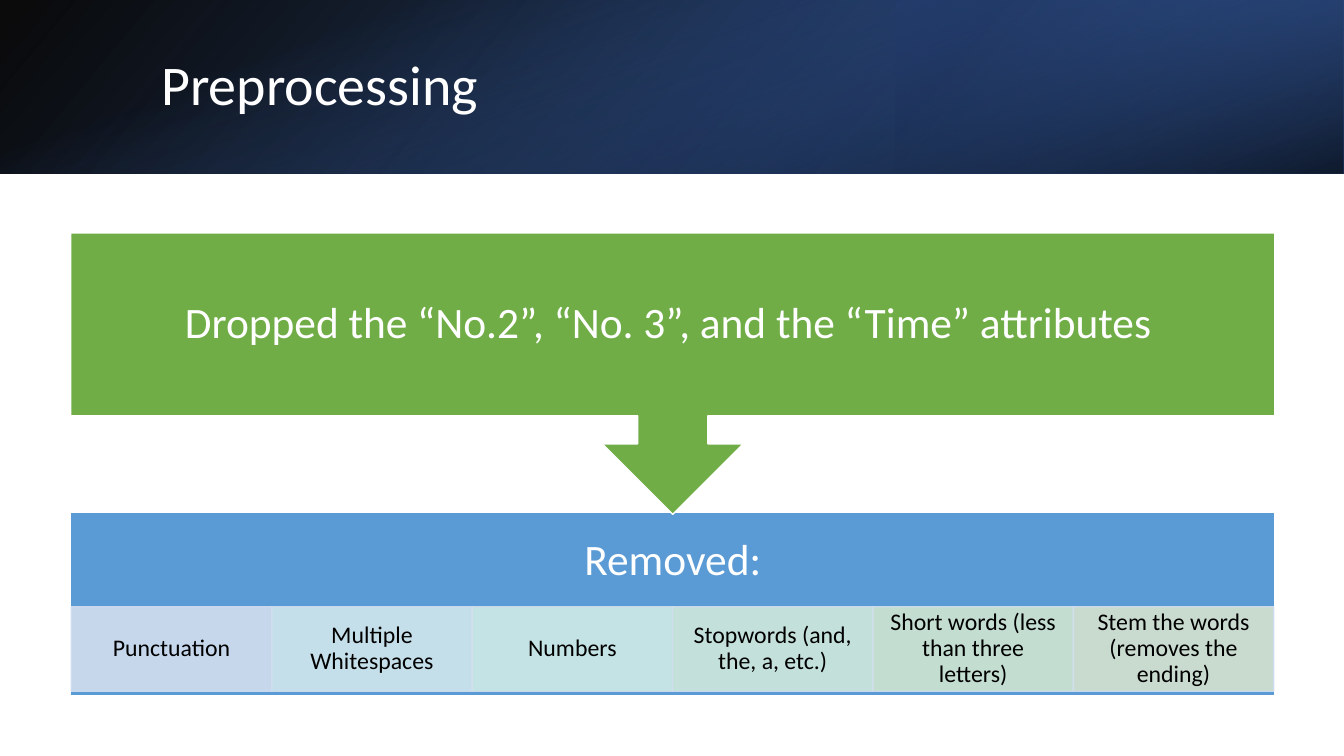
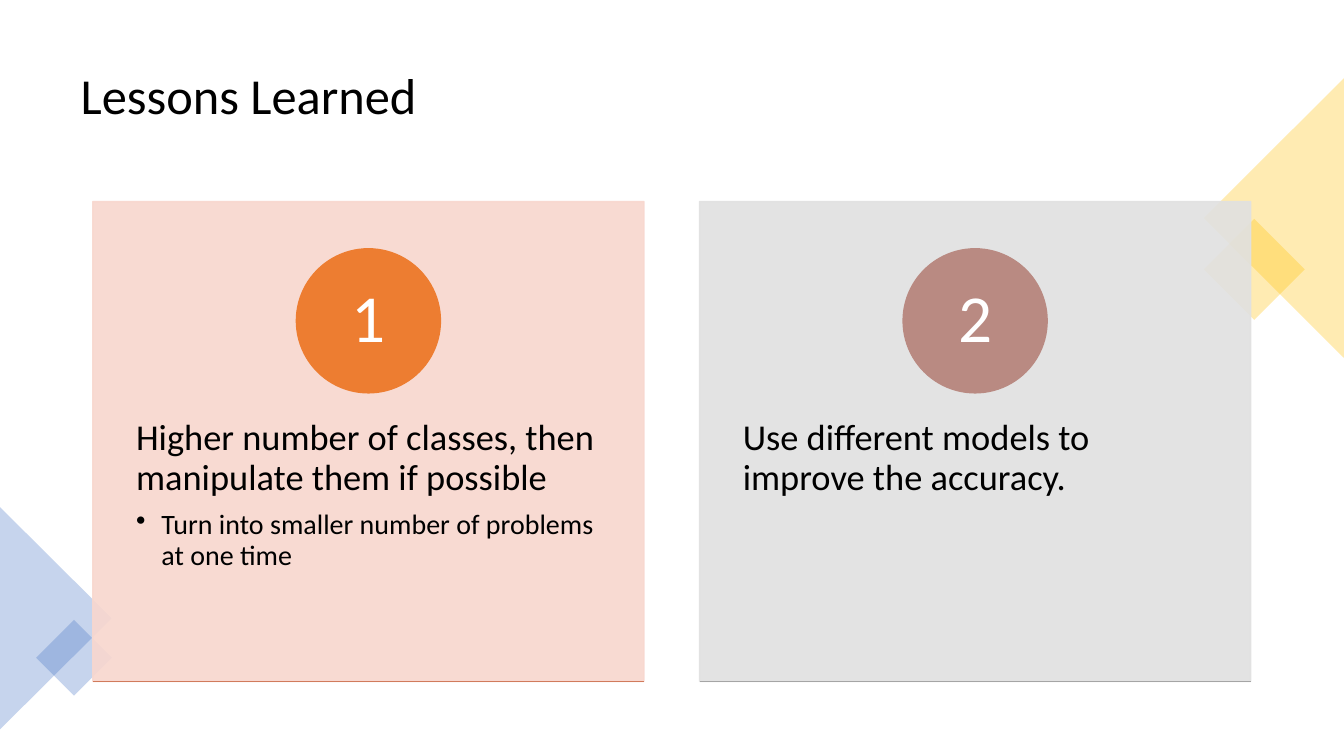
from pptx import Presentation
from pptx.dml.color import RGBColor
from pptx.enum.shapes import MSO_CONNECTOR, MSO_SHAPE
from pptx.enum.text import MSO_ANCHOR, PP_ALIGN
from pptx.oxml.ns import qn
from pptx.util import Cm, Pt
from lxml import etree

RECTANGLE, TRIANGLE, OVAL = MSO_SHAPE.RECTANGLE, MSO_SHAPE.ISOSCELES_TRIANGLE, MSO_SHAPE.OVAL
CALLOUT = MSO_SHAPE.DOWN_ARROW_CALLOUT
STRAIGHT = MSO_CONNECTOR.STRAIGHT
TOP, MIDDLE = MSO_ANCHOR.TOP, MSO_ANCHOR.MIDDLE
LEFT, CENTER = PP_ALIGN.LEFT, PP_ALIGN.CENTER

FONT = "Calibri"
WHITE, BLACK = RGBColor(0xFF, 0xFF, 0xFF), RGBColor(0x00, 0x00, 0x00)
BLUE, GOLD = RGBColor(0x44, 0x72, 0xC4), RGBColor(0xFF, 0xC0, 0x00)
DARK_BLUE, NAVY = RGBColor(0x2F, 0x55, 0x97), RGBColor(0x20, 0x38, 0x64)
GREEN, SKY = RGBColor(0x70, 0xAD, 0x47), RGBColor(0x5B, 0x9B, 0xD5)
CELL_LINE = RGBColor(0xD2, 0xDE, 0xEF)
ORANGE, RUST, PEACH = RGBColor(0xED, 0x7D, 0x31), RGBColor(0xD1, 0x7B, 0x5C), RGBColor(0xF8, 0xD7, 0xCE)
ROSE, GRAY, PALE_GRAY = RGBColor(0xB9, 0x8A, 0x82), RGBColor(0xA5, 0xA5, 0xA5), RGBColor(0xE1, 0xE1, 0xE1)

WIDTH, HEIGHT = 33.87, 19.05


def add_block(page, kind, box, fill, line=None, alpha=100, rotation=0, margins=(0, 0, 0, 0)):
    """Add a shape; box is left, top, width, height and margins left, top, right, bottom, in cm."""
    shape = page.shapes.add_shape(kind, *(Cm(length) for length in box))
    shape.shadow.inherit = False
    shape.rotation = rotation
    shape.fill.solid()
    shape.fill.fore_color.rgb = fill
    if line is None:
        shape.line.fill.background()
    else:
        shape.line.color.rgb = line
        shape.line.width = Pt(1)
    if alpha < 100:
        for color in shape.element.spPr.iter(qn("a:srgbClr")):
            etree.SubElement(color, qn("a:alpha")).set("val", str(alpha * 1000))
    frame = shape.text_frame
    frame.word_wrap = True
    frame.vertical_anchor = MIDDLE
    frame.margin_left, frame.margin_top, frame.margin_right, frame.margin_bottom = map(Cm, margins)
    return shape


def add_text(para, text, size, color, align=CENTER):
    para.alignment = align
    para.line_spacing = 0.9
    span = para.add_run()
    span.text = text
    span.font.name = FONT
    span.font.size = Pt(size)
    span.font.color.rgb = color


deck = Presentation()
deck.slide_width, deck.slide_height = Cm(WIDTH), Cm(HEIGHT)
title_only = deck.slide_layouts[5]

pages = []
for heading, size, color, box in [
    ("Preprocessing", 40, WHITE, (3.81, 0.97, 27.89, 2.44)),
    ("Lessons Learned", 36, BLACK, (1.78, 0.89, 30.3, 3.15)),
]:
    page = deck.slides.add_slide(title_only)
    title = page.shapes.title
    title.left, title.top, title.width, title.height = map(Cm, box)
    title.text_frame.vertical_anchor = MIDDLE
    add_text(title.text_frame.paragraphs[0], heading, size, color, LEFT)
    pages.append(page)
preprocessing, lessons = pages

# Preprocessing: header band of three layered gradients; stops are position, colour, opacity
BAND = 4.37
for box, rotation, flipped, angle, stops in [
    ((0, 0, WIDTH, BAND), 0, True, 140, [(0, BLACK, 96), (100, DARK_BLUE, 100)]),
    ((WIDTH * 2 / 3, 0, WIDTH / 3, BAND), 180, True, 320, [(19, NAVY, 68), (100, BLUE, 79)]),
    (((WIDTH - BAND) / 2, (BAND - WIDTH) / 2, BAND, WIDTH), 90, False, 340,
     [(23, BLUE, 0), (99, BLACK, 74)]),
]:
    band = add_block(preprocessing, RECTANGLE, box, NAVY, rotation=rotation)
    if flipped:
        band.element.spPr.find(qn("a:xfrm")).set("flipH", "1")
    band.fill.gradient()
    band.fill.gradient_angle = 360 - angle
    for stop, (position, color, _) in zip(band.fill.gradient_stops, stops):
        stop.position = position / 100
        stop.color.rgb = color
    for color, (_, _, opacity) in zip(band.element.spPr.iter(qn("a:srgbClr")), stops):
        etree.SubElement(color, qn("a:alpha")).set("val", str(opacity * 1000))
title = preprocessing.shapes.title.element
title.getparent().append(title)  # in front of the band

# Preprocessing: the two steps
STEP_LEFT, STEP_WIDTH = 1.78, 30.35
removed = add_block(preprocessing, RECTANGLE, (STEP_LEFT, 12.9, STEP_WIDTH, 4.62), SKY, WHITE,
                    margins=(0.61, 0.61, 0.61, 2.74))
add_text(removed.text_frame.paragraphs[0], "Removed:", 31, WHITE)

CELL_WIDTH = 5.05
for index, (label, fill) in enumerate([
    ("Punctuation", CELL_LINE),
    ("Multiple Whitespaces", RGBColor(0xD1, 0xE7, 0xED)),
    ("Numbers", RGBColor(0xD0, 0xEB, 0xE6)),
    ("Stopwords (and, the, a, etc.)", RGBColor(0xD0, 0xE8, 0xDB)),
    ("Short words (less than three letters)", RGBColor(0xCF, 0xE6, 0xD1)),
    ("Stem the words (removes the ending)", RGBColor(0xD5, 0xE3, 0xCF)),
]):
    cell = add_block(preprocessing, RECTANGLE, (1.8 + index * CELL_WIDTH, 15.29, CELL_WIDTH, 2.13),
                     fill, CELL_LINE, 90, margins=(0.33, 0.05, 0.33, 0.05))
    add_text(cell.text_frame.paragraphs[0], label, 17, BLACK)

dropped = add_block(preprocessing, CALLOUT, (STEP_LEFT, 5.87, STEP_WIDTH, 7.09), GREEN, WHITE,
                    margins=(0.61, 0.61, 0.61, 0.61))
add_text(dropped.text_frame.paragraphs[0],
         "Dropped the “No.2”, “No. 3”, and the “Time” attributes ", 31, WHITE)

# Lessons Learned: corner ornaments
for kind, box, color, rotation in [
    (RECTANGLE, (30.71, 5.89, 1.8, 1.8), GOLD, 45),
    (TRIANGLE, (28.58, 3.73, 7.04, 3.53), GOLD, 270),
    (TRIANGLE, (-1.4, 14.17, 5.61, 2.82), BLUE, 90),
    (RECTANGLE, (1.19, 15.9, 1.35, 1.35), BLUE, 45),
]:
    add_block(lessons, kind, box, color, alpha=30, rotation=rotation)

# Lessons Learned: numbered cards
CARD_TOP, CARD_WIDTH, CARD_HEIGHT, CARD_STEP = 5.08, 13.89, 12.09, 15.29
CIRCLE = 3.63
for index, (lesson, details, fill, circle_fill, rule_color) in enumerate([
    ("Higher number of classes, then manipulate them if possible",
     ["Turn into smaller number of problems at one time"], PEACH, ORANGE, RUST),
    ("Use different models to improve the accuracy.", [], PALE_GRAY, ROSE, GRAY),
]):
    left = 2.34 + index * CARD_STEP
    card = add_block(lessons, RECTANGLE, (left, CARD_TOP, CARD_WIDTH, CARD_HEIGHT), fill, fill, 90,
                     margins=(1.09, 5.49, 1.09, 0.91))
    frame = card.text_frame
    frame.vertical_anchor = TOP
    add_text(frame.paragraphs[0], lesson, 26, BLACK, LEFT)
    frame.paragraphs[0].space_after = Pt(9)
    for detail in details:
        para = frame.add_paragraph()
        para.level = 1
        add_text(para, detail, 20, BLACK, LEFT)
        properties = para._p.get_or_add_pPr()
        properties.set("marL", str(Cm(0.64)))
        properties.set("indent", str(-Cm(0.64)))
        etree.SubElement(properties, qn("a:buChar")).set("char", "•")

    circle = add_block(lessons, OVAL, (left + (CARD_WIDTH - CIRCLE) / 2, 6.27, CIRCLE, CIRCLE),
                       circle_fill, circle_fill, margins=(0.28, 0.03, 0.28, 0.03))
    add_text(circle.text_frame.paragraphs[0], str(index + 1), 48, WHITE)

    bottom = Cm(CARD_TOP + CARD_HEIGHT)
    rule = lessons.shapes.add_connector(STRAIGHT, Cm(left), bottom, Cm(left + CARD_WIDTH), bottom)
    rule.line.color.rgb = rule_color
    rule.line.width = Pt(1)
    etree.SubElement(rule.element.spPr, qn("a:effectLst"))

deck.save("out.pptx")
